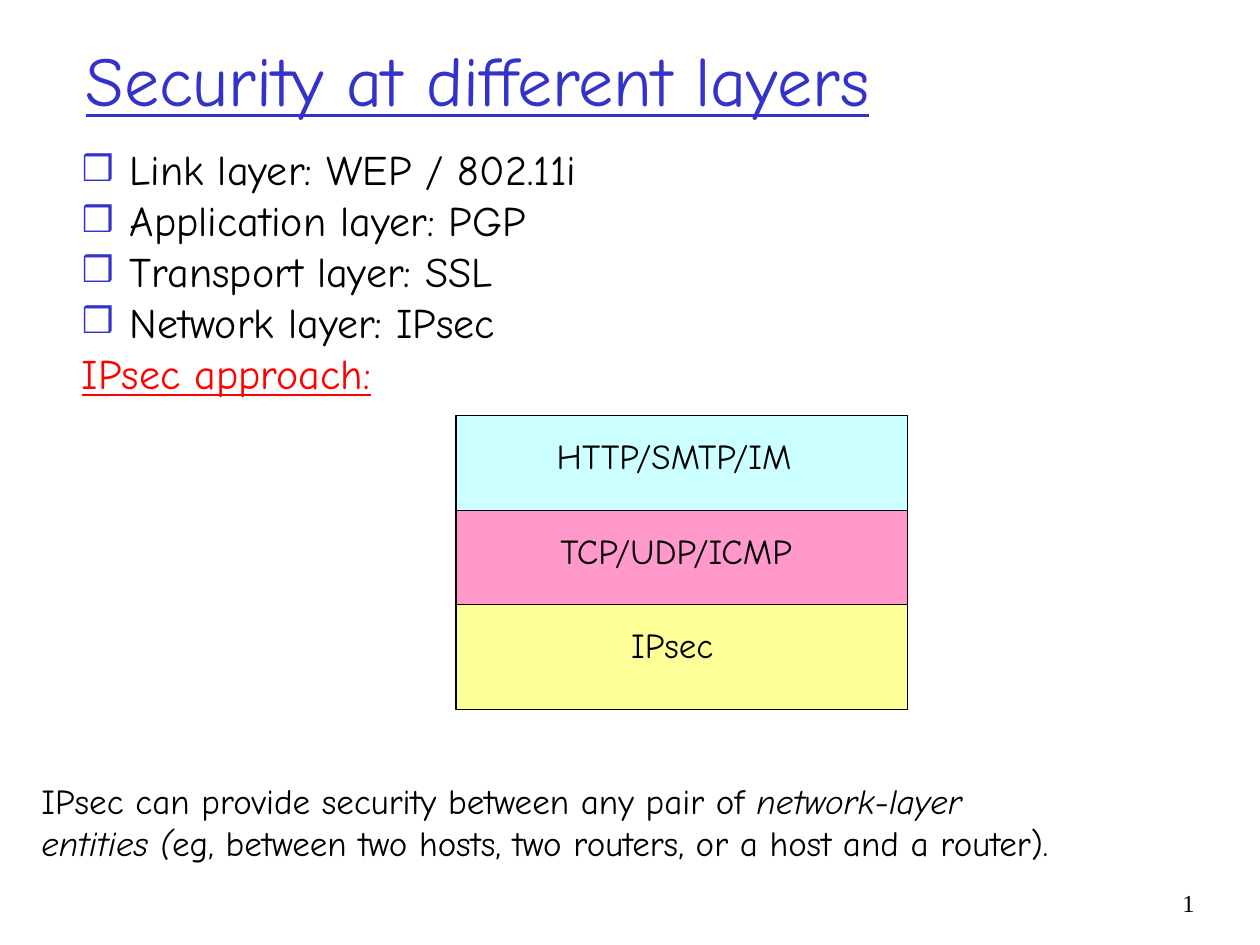
from lxml import etree
from pptx import Presentation
from pptx.dml.color import RGBColor
from pptx.enum.shapes import MSO_SHAPE
from pptx.enum.text import MSO_ANCHOR, MSO_AUTO_SIZE, PP_ALIGN
from pptx.oxml.ns import qn
from pptx.util import Inches, Pt

COLORS = {"blue": "3333CC", "black": "000000", "red": "FF0000",
          "cyan": "CCFFFF", "pink": "FF99CC", "yellow": "FFFF99"}
MAIN_FONT = "Comic Neue"
NUMBER_FONT = "Times New Roman"


def rgb(name):
    return RGBColor.from_string(COLORS[name])


class Deck:
    def __init__(self):
        self.prs = Presentation()
        self.prs.slide_width, self.prs.slide_height = Inches(10), Inches(7.5)
        self.slide = self.prs.slides.add_slide(self.prs.slide_layouts[1])

    def place(self, sp, x, y, w, h):
        sp.left, sp.top, sp.width, sp.height = map(Inches, (x, y, w, h))

    def style(self, p, size, color="black", font=MAIN_FONT, underline=False):
        for r in p.runs:
            r.font.size, r.font.name = Pt(size), font
            r.font.color.rgb = rgb(color)
            r.font.underline = underline

    def bullet(self, p, char=None):
        pPr = p._p.get_or_add_pPr()
        pPr.set("marL", str(Inches(0.38)))
        pPr.set("indent", str(-Inches(0.38)))
        if char is None:
            etree.SubElement(pPr, qn("a:buNone"))
            return
        color = etree.SubElement(pPr, qn("a:buClr"))
        etree.SubElement(color, qn("a:srgbClr"), val=COLORS["blue"])
        etree.SubElement(pPr, qn("a:buSzPct"), val="85000")
        etree.SubElement(pPr, qn("a:buChar"), char=char)

    def title(self, text, *box):
        sp = self.slide.shapes.title
        self.place(sp, *box)
        tf = sp.text_frame
        tf.text = text
        tf.auto_size = MSO_AUTO_SIZE.NONE
        tf.vertical_anchor = MSO_ANCHOR.MIDDLE
        p = tf.paragraphs[0]
        p.alignment = PP_ALIGN.LEFT
        self.style(p, 40, "blue", underline=True)

    def body(self, items, closing, *box):
        sp = self.slide.placeholders[1]
        self.place(sp, *box)
        tf = sp.text_frame
        tf.text = "\n".join(items + [closing])
        tf.auto_size = MSO_AUTO_SIZE.NONE
        for i, p in enumerate(tf.paragraphs):
            last = i == len(items)
            self.bullet(p, None if last else "❒")
            p.line_spacing = 0.8
            p.space_before = Pt(6 if i else 0)
            self.style(p, 24, "red" if last else "black", underline=last)

    def text(self, text, *box, size=20, font=MAIN_FONT, align=PP_ALIGN.LEFT, wrap=True):
        sp = self.slide.shapes.add_textbox(*map(Inches, box))
        tf = sp.text_frame
        tf.word_wrap = wrap
        p = tf.paragraphs[0]
        p.text = text
        p.alignment = align
        self.style(p, size, font=font)
        return p

    def rect(self, color, *box):
        sp = self.slide.shapes.add_shape(MSO_SHAPE.RECTANGLE, *map(Inches, box))
        sp.shadow.inherit = False
        sp.fill.solid()
        sp.fill.fore_color.rgb = rgb(color)
        sp.line.color.rgb = rgb("black")
        sp.line.width = Pt(0.75)


def main():
    deck = Deck()

    # Title and list
    deck.title("Security at different layers", 0.58, 0, 8.5, 1.25)
    deck.body(["Link layer: WEP / 802.11i", "Application layer: PGP",
               "Transport layer: SSL", "Network layer: IPsec"],
              "IPsec approach:", 0.55, 1.17, 8.5, 2.17)

    # Protocol stack: label, color, height, label left and width
    layers = [("HTTP/SMTP/IM", "cyan", 0.75, 4.32, 2.12),
              ("TCP/UDP/ICMP", "pink", 0.75, 4.35, 2.1),
              ("IPsec", "yellow", 0.83, 4.91, 0.85)]
    top = 3.3
    for label, color, height, left, width in layers:
        deck.rect(color, 3.62, top, 3.58, height)
        deck.text(label, left, top + 0.1, width, 0.44, wrap=False)
        top += height

    # Closing remark, with the emphasis broken over two lines
    p = deck.text("IPsec can provide security between any pair of ",
                  0.23, 6.14, 9.21, 0.77)
    p.add_run().text = "network-layer"
    p.add_line_break()
    p.add_run().text = "entities ("
    p.add_run().text = "eg, between two hosts, two routers, or a host and a router)."
    deck.style(p, 20)
    for r in p.runs[1:3]:
        r.font.italic = True

    # Page number
    deck.text("1", 9.08, 7, 0.5, 0.5, size=14, font=NUMBER_FONT, align=PP_ALIGN.RIGHT)

    deck.prs.save("out.pptx")


if __name__ == "__main__":
    main()
